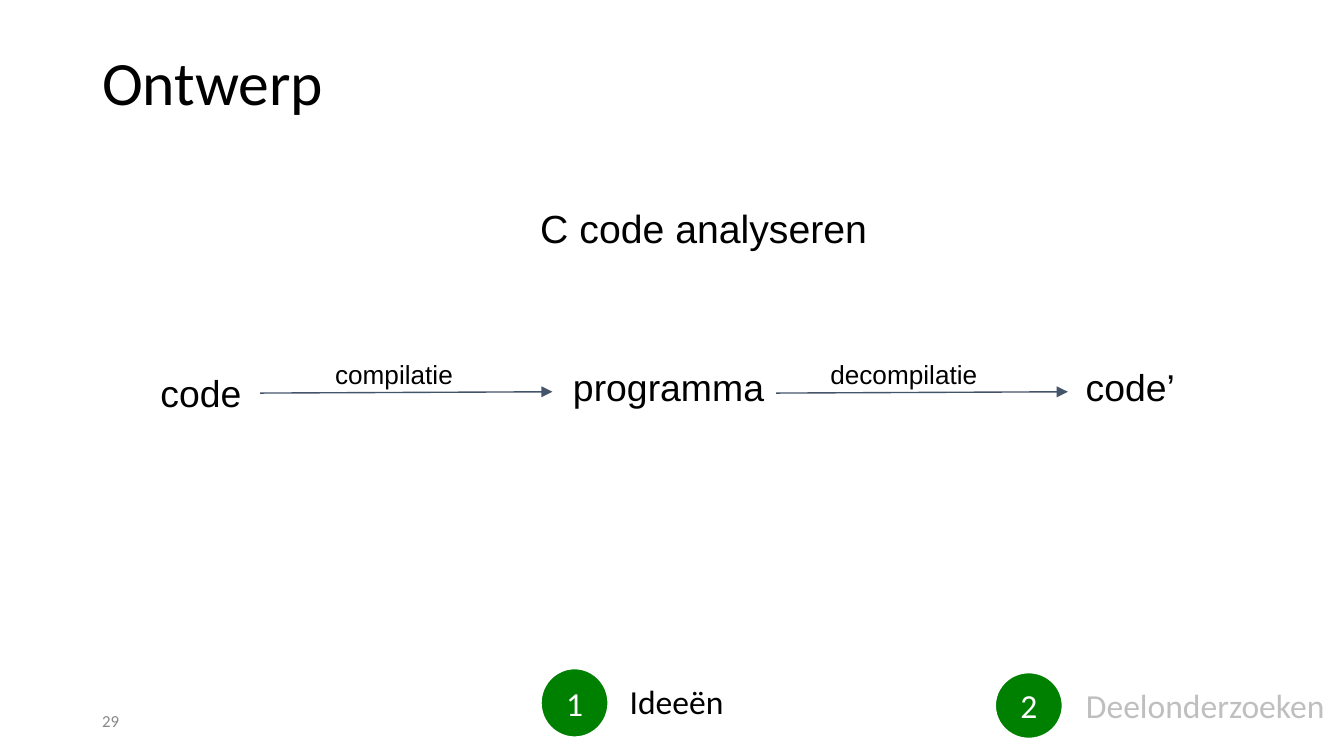
from dataclasses import dataclass

from lxml import etree
from pptx import Presentation
from pptx.dml.color import RGBColor
from pptx.enum.shapes import MSO_CONNECTOR, MSO_SHAPE
from pptx.enum.text import MSO_ANCHOR, MSO_AUTO_SIZE, PP_ALIGN
from pptx.oxml.ns import qn
from pptx.shapes.base import BaseShape
from pptx.slide import Slide
from pptx.util import Emu, Pt

LEFT, CENTER = PP_ALIGN.LEFT, PP_ALIGN.CENTER
TOP, MIDDLE = MSO_ANCHOR.TOP, MSO_ANCHOR.MIDDLE
NO_AUTOFIT = MSO_AUTO_SIZE.NONE
STRAIGHT, OVAL = MSO_CONNECTOR.STRAIGHT, MSO_SHAPE.OVAL
EMU_PER_PX = 4572
PAGE_WIDTH, PAGE_HEIGHT = 2000, 1125
TITLE_AND_CONTENT = 1


@dataclass(frozen=True)
class Theme:
    black: str = "000000"
    white: str = "FFFFFF"
    gray: str = "888888"
    muted: str = "BFBFBF"
    green: str = "008000"
    slate: str = "44546A"
    heading_font: str = "Calibri"
    body_font: str = "Arial"
    title_size: int = 33
    body_size: int = 21
    stage_size: int = 20
    step_size: int = 18
    label_size: int = 14
    number_size: int = 9


THEME = Theme()


@dataclass(frozen=True)
class Area:
    left: int
    top: int
    width: int
    height: int


@dataclass(frozen=True)
class TextStyle:
    size: int
    font: str = THEME.body_font
    color: str = THEME.black
    align: PP_ALIGN = LEFT
    anchor: MSO_ANCHOR = TOP
    inset_x: int = 20
    inset_y: int = 20


@dataclass(frozen=True)
class Label:
    text: str
    area: Area
    style: TextStyle


@dataclass(frozen=True)
class Arrow:
    start: int
    end: int


@dataclass(frozen=True)
class Step:
    number: str
    circle: Area
    label: Label


def heading_style(size: int, color: str = THEME.black, align: PP_ALIGN = LEFT,
                  anchor: MSO_ANCHOR = TOP) -> TextStyle:
    return TextStyle(size, THEME.heading_font, color, align, anchor, 15, 7)


STAGE = TextStyle(THEME.stage_size)
ACTION = TextStyle(THEME.label_size)
TITLE = Label("Ontwerp", Area(137, 59, 1725, 152), heading_style(THEME.title_size))
TOPIC = Label("C code analyseren", Area(202, 284, 1712, 600), TextStyle(THEME.body_size))
TOPIC_INDENT = 582
LABELS = (
    Label("29", Area(137, 1043, 450, 60),
          heading_style(THEME.number_size, THEME.gray, anchor=MIDDLE)),
    Label("code", Area(219, 531, 1046, 108), STAGE),
    Label("programma", Area(833, 522, 350, 100), STAGE),
    Label("code’", Area(1596, 522, 240, 100), STAGE),
    Label("compilatie", Area(479, 518, 366, 32), ACTION),
    Label("decompilatie", Area(1216, 518, 366, 32), ACTION),
)
ARROWS = (Arrow(387, 822), Arrow(1155, 1589))
ARROW_START_Y, ARROW_END_Y = 585, 583
STEPS = (
    Step("1", Area(804, 994, 102, 104),
         Label("Ideeën", Area(922, 1007, 220, 76), heading_style(THEME.step_size))),
    Step("2", Area(1480, 1000, 102, 100),
         Label("Deelonderzoeken", Area(1601, 1012, 412, 76),
               heading_style(THEME.step_size, THEME.muted))),
)


def px(length: int) -> Emu:
    return Emu(length * EMU_PER_PX)


def corners(area: Area) -> tuple[Emu, Emu, Emu, Emu]:
    return px(area.left), px(area.top), px(area.width), px(area.height)


def apply_format(target: object, values: dict[str, object]) -> None:
    for name, value in values.items():
        setattr(target, name, value)


def write_text(box: BaseShape, text: str, style: TextStyle) -> None:
    frame = box.text_frame
    apply_format(frame, {
        "word_wrap": True, "auto_size": NO_AUTOFIT, "vertical_anchor": style.anchor,
        "margin_left": px(style.inset_x), "margin_right": px(style.inset_x),
        "margin_top": px(style.inset_y), "margin_bottom": px(style.inset_y),
    })
    para = frame.paragraphs[0]
    apply_format(para, {"alignment": style.align, "space_before": Pt(0), "line_spacing": 1.0})
    span = para.add_run()
    span.text = text
    apply_format(span.font, {"name": style.font, "size": Pt(style.size)})
    span.font.color.rgb = RGBColor.from_string(style.color)


def fill_placeholder(box: BaseShape, label: Label) -> None:
    left, top, width, height = corners(label.area)
    apply_format(box, {"left": left, "top": top, "width": width, "height": height})
    write_text(box, label.text, label.style)


def indent_without_bullet(box: BaseShape, indent: int) -> None:
    properties = box.text_frame.paragraphs[0]._p.get_or_add_pPr()
    properties.set("marL", str(px(indent)))
    properties.set("indent", "0")
    etree.SubElement(properties, qn("a:buNone"))


def draw_label(page: Slide, label: Label) -> None:
    box = page.shapes.add_textbox(*corners(label.area))
    write_text(box, label.text, label.style)


def draw_arrow(page: Slide, arrow: Arrow) -> None:
    connector = page.shapes.add_connector(
        STRAIGHT, px(arrow.start), px(ARROW_START_Y), px(arrow.end), px(ARROW_END_Y))
    connector.line.color.rgb = RGBColor.from_string(THEME.slate)
    connector.line.width = Pt(0.75)
    etree.SubElement(connector.line._get_or_add_ln(), qn("a:tailEnd"), type="triangle")
    etree.SubElement(connector._element.spPr, qn("a:effectLst"))


def draw_step(page: Slide, step: Step) -> None:
    circle = page.shapes.add_shape(OVAL, *corners(step.circle))
    circle.shadow.inherit = False
    circle.fill.solid()
    circle.fill.fore_color.rgb = RGBColor.from_string(THEME.green)
    circle.line.color.rgb = RGBColor.from_string(THEME.white)
    circle.line.width = Pt(1.5)
    write_text(circle, step.number,
               heading_style(THEME.step_size, THEME.white, CENTER, MIDDLE))
    draw_label(page, step.label)


def main() -> None:
    deck = Presentation()
    apply_format(deck, {"slide_width": px(PAGE_WIDTH), "slide_height": px(PAGE_HEIGHT)})
    page = deck.slides.add_slide(deck.slide_layouts[TITLE_AND_CONTENT])
    fill_placeholder(page.shapes.title, TITLE)
    body = page.placeholders[1]
    fill_placeholder(body, TOPIC)
    indent_without_bullet(body, TOPIC_INDENT)
    for arrow in ARROWS:
        draw_arrow(page, arrow)
    for label in LABELS:
        draw_label(page, label)
    for step in STEPS:
        draw_step(page, step)
    deck.save("out.pptx")


if __name__ == "__main__":
    main()
